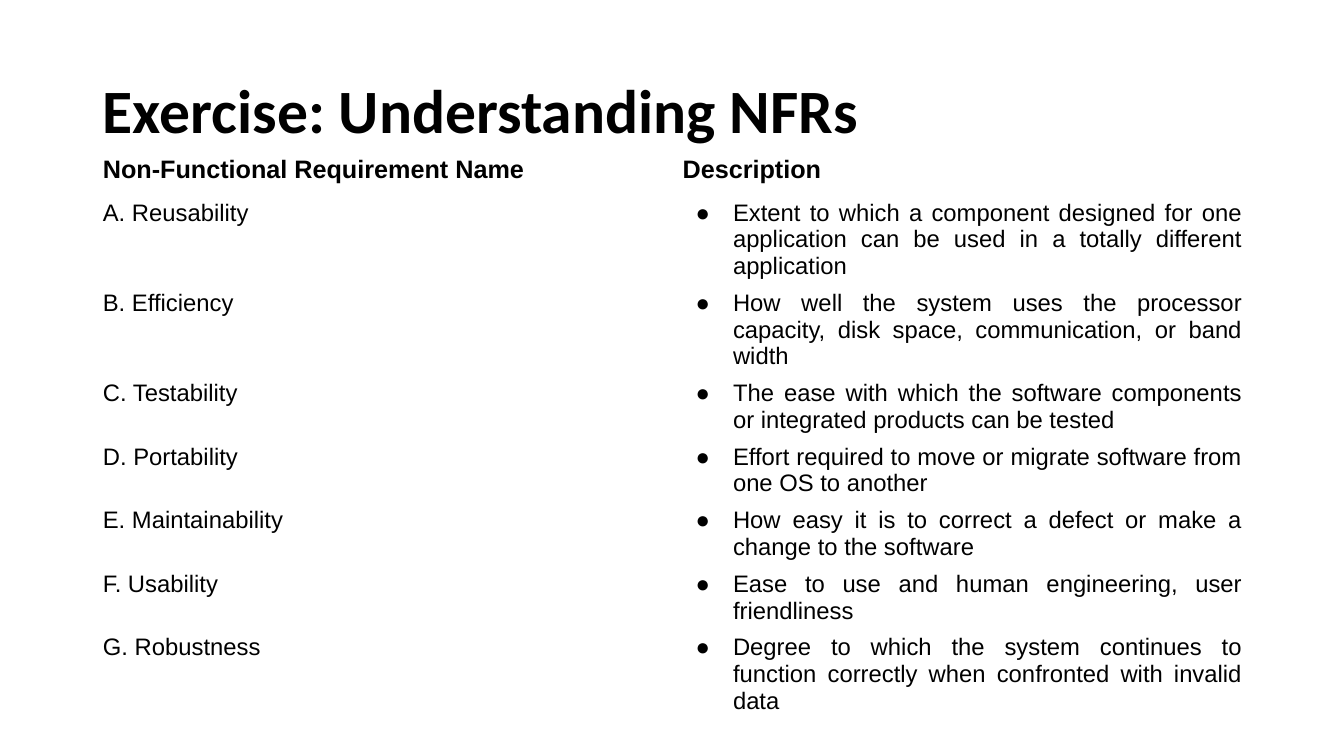
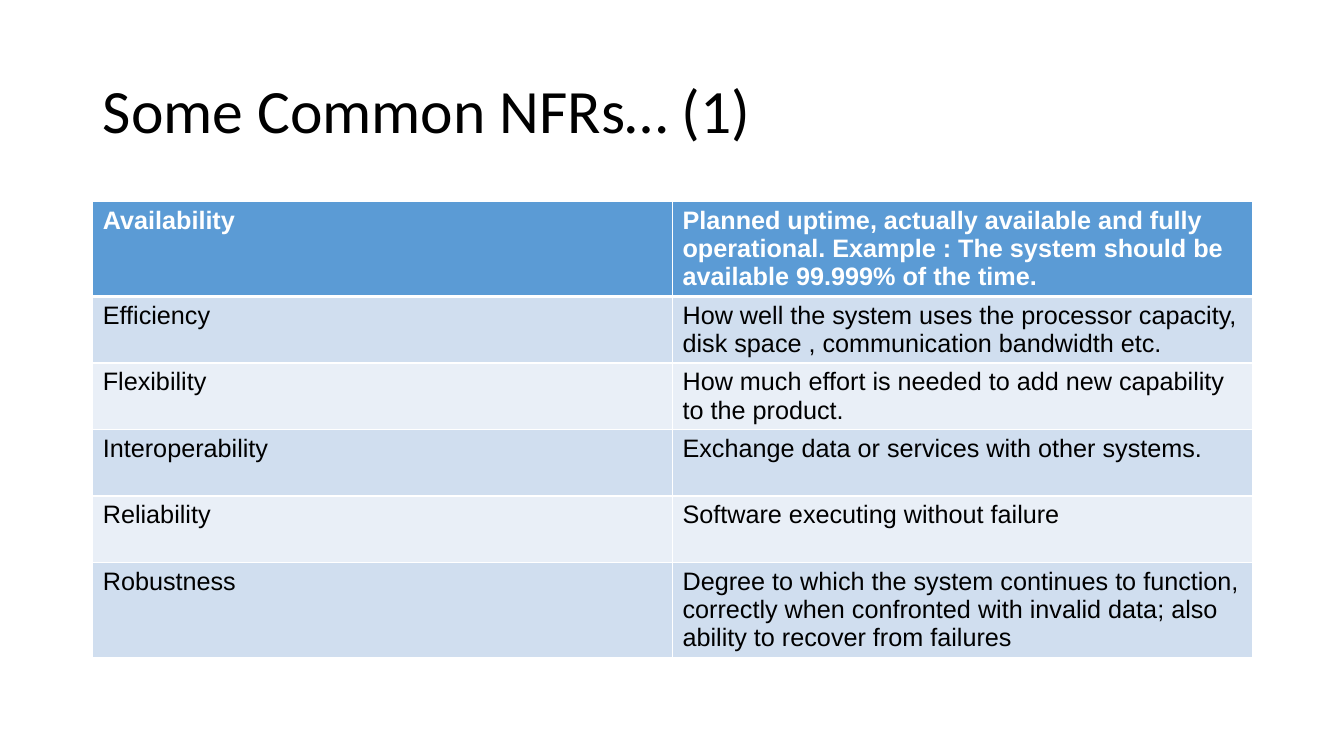
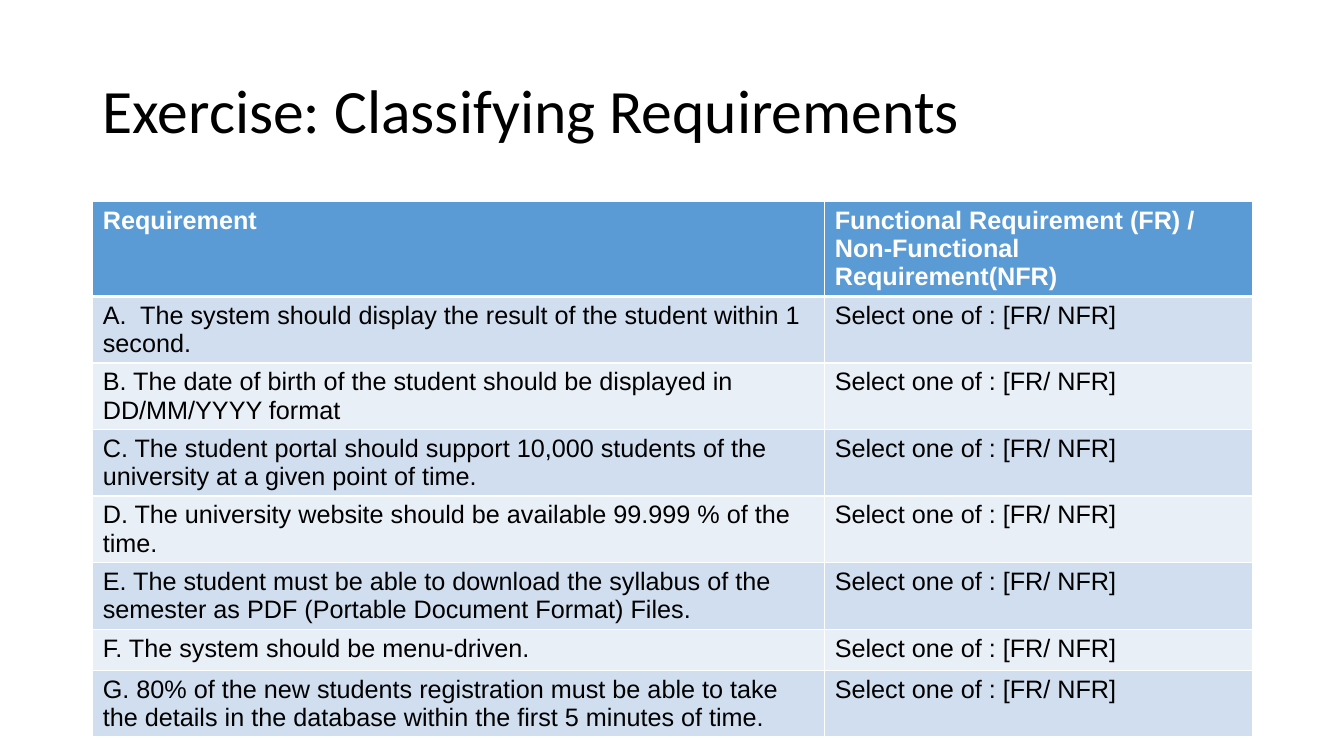
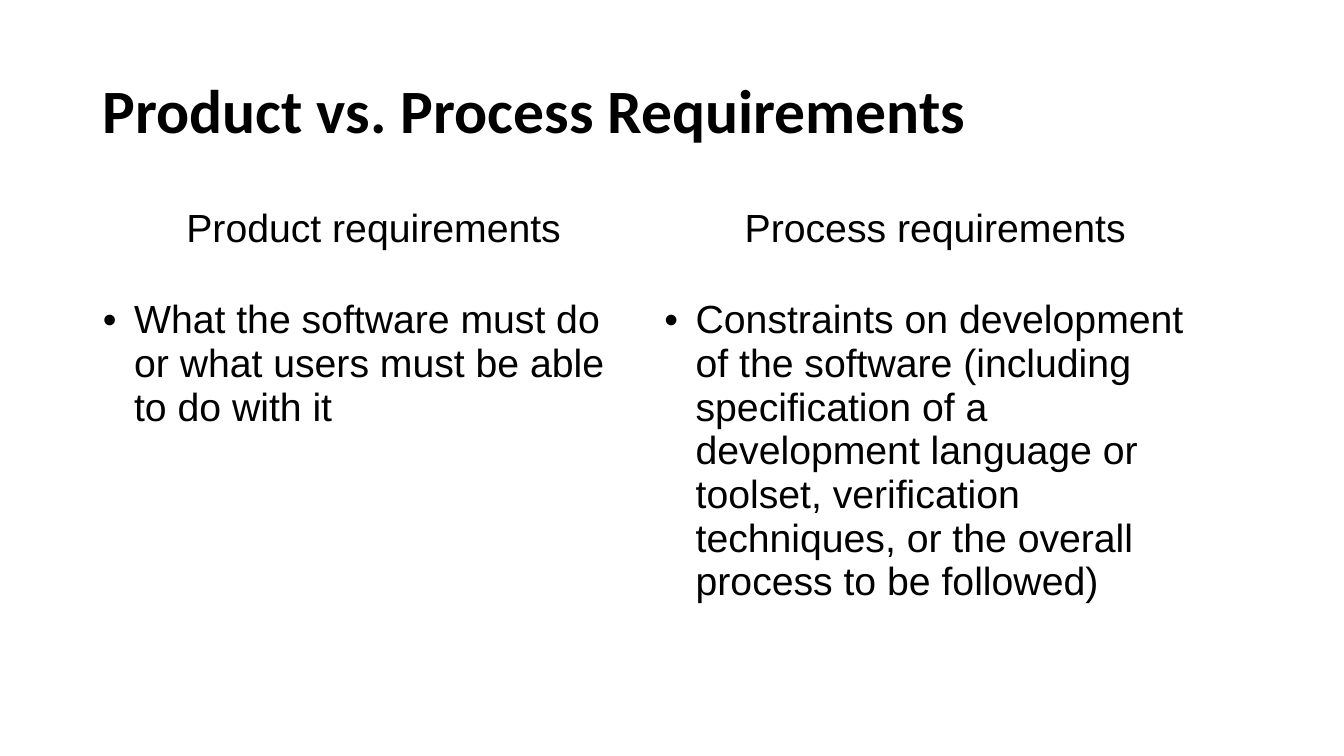
import dataclasses

import pptx
import pptx.dml.color
import pptx.enum.text
import pptx.oxml
import pptx.oxml.ns
import pptx.util
from pptx.util import Inches

ALIGN = pptx.enum.text.PP_ALIGN
ANCHOR = pptx.enum.text.MSO_ANCHOR


# Shared look
@dataclasses.dataclass(frozen=True)
class Theme:
    ink: str = "000000"
    white: str = "FFFFFF"
    header: str = "5B9BD5"
    bands: tuple = ("D0DEEF", "E9EFF7")
    title_font: str = "Calibri"
    body_font: str = "Arial"
    title_size: int = 44
    large_size: int = 28
    body_size: int = 18
    small_size: int = 17
    left: float = 0.92
    table_top: float = 2
    width: float = 11.5
    no_style: str = "{2D5ABB26-0587-4C30-8999-92F81FD0307C}"


THEME = Theme()


@dataclasses.dataclass(frozen=True)
class Bullet:
    character: str
    indent: float
    hanging: float


ROUND_BULLET = Bullet("●", 0.5, 0.37)
SMALL_BULLET = Bullet("•", 0.31, 0.31)


# Content
NFR_ROWS = [
    ("Non-Functional Requirement Name", "Description"),
    ("A. Reusability", "Extent to which a component designed for one application "
     "can be used in a totally different application"),
    ("B. Efficiency", "How well the system uses the processor capacity, disk space, "
     "communication, or band width"),
    ("C. Testability", "The ease with which the software components or integrated "
     "products can be tested"),
    ("D. Portability", "Effort required to move or migrate software from one OS to another"),
    ("E. Maintainability", "How easy it is to correct a defect or make a change to the software"),
    ("F. Usability", "Ease to use and human engineering, user friendliness"),
    ("G. Robustness", "Degree to which the system continues to function correctly when "
     "confronted with invalid data"),
]
COMMON_ROWS = [
    ("Availability", "Planned uptime, actually available and fully operational. "
     "Example : The system should be available 99.999% of the time."),
    ("Efficiency", "How well the system uses the processor capacity, disk space , "
     "communication bandwidth etc."),
    ("Flexibility", "How much effort is needed to add new capability to the product."),
    ("Interoperability", "Exchange data or services with other systems."),
    ("Reliability", "Software executing without failure"),
    ("Robustness", "Degree to which the system continues to function, correctly when "
     "confronted with invalid data; also ability to recover from failures"),
]
REQUIREMENTS = [
    "A.  The system should display the result of the student within 1 second.",
    "B. The date of birth of the student should be displayed in DD/MM/YYYY format",
    "C. The student portal should support 10,000 students of the university at a given "
    "point of time.",
    "D. The university website should be available 99.999 % of the time.",
    "E. The student must be able to download the syllabus of the semester as PDF "
    "(Portable Document Format) Files.",
    "F. The system should be menu-driven.",
    "G. 80% of the new students registration must be able to take the details in the "
    "database within the first 5 minutes of time.",
]
CLASSIFY_ROWS = [
    ("Requirement", "Functional Requirement (FR) / Non-Functional Requirement(NFR)"),
    *((requirement, "Select one of : [FR/ NFR]") for requirement in REQUIREMENTS),
]
COMPARISON_ROWS = [
    ("Product requirements", "Process requirements"),
    ("What the software must do or what users must be able to do with it",
     "Constraints on development of the software (including specification of a development "
     "language or toolset, verification techniques, or the overall process to be followed)"),
]


# Text helpers
def rgb(color):
    return pptx.dml.color.RGBColor.from_string(color)


def format_runs(paragraph, font_name, size, color=THEME.ink, bold=False):
    for run in paragraph.runs:
        run.font.name = font_name
        run.font.size = pptx.util.Pt(size)
        run.font.bold = bold
        run.font.color.rgb = rgb(color)


def add_xml(parent, tag, content="", attributes=""):
    namespace = pptx.oxml.ns.nsdecls("a")
    parent.append(pptx.oxml.parse_xml(
        f"<a:{tag} {namespace} {attributes}>{content}</a:{tag}>"))


def add_bullet(paragraph, bullet):
    properties = paragraph._p.get_or_add_pPr()
    properties.set("marL", str(Inches(bullet.indent)))
    properties.set("indent", str(-Inches(bullet.hanging)))
    add_xml(properties, "buClr", f'<a:srgbClr val="{THEME.ink}"/>')
    add_xml(properties, "buFont", attributes=f'typeface="{THEME.body_font}"')
    add_xml(properties, "buChar", attributes=f'char="{bullet.character}"')


# Slide and title
def add_titled_slide(presentation, text, bold=False):
    slide = presentation.slides.add_slide(presentation.slide_layouts[5])
    title = slide.shapes.title
    title.left, title.top = Inches(THEME.left), Inches(0.4)
    title.width, title.height = Inches(THEME.width), Inches(1.45)
    frame = title.text_frame
    frame.text = text
    frame.auto_size = pptx.enum.text.MSO_AUTO_SIZE.NONE
    frame.vertical_anchor = ANCHOR.MIDDLE
    paragraph = frame.paragraphs[0]
    paragraph.alignment = ALIGN.LEFT
    paragraph.line_spacing = 0.9
    format_runs(paragraph, THEME.title_font, THEME.title_size, bold=bold)
    return slide


# Tables
def add_plain_table(slide, rows, column_widths, row_heights, top=THEME.table_top):
    frame = slide.shapes.add_table(
        len(rows), len(column_widths), Inches(THEME.left), Inches(top),
        Inches(sum(column_widths)), Inches(sum(row_heights)))
    for style in frame._element.iter(pptx.oxml.ns.qn("a:tableStyleId")):
        style.text = THEME.no_style
    table = frame.table
    table.horz_banding = False
    for column, width in zip(table.columns, column_widths):
        column.width = Inches(width)
    for row, height, texts in zip(table.rows, row_heights, rows):
        row.height = Inches(height)
        for cell, text in zip(row.cells, texts):
            cell.text_frame.text = text
            cell.fill.background()
    return table


def format_cell(cell, size, color=THEME.ink, bold=False, alignment=ALIGN.LEFT, bullet=None):
    paragraph = cell.text_frame.paragraphs[0]
    paragraph.alignment = alignment
    if bullet:
        add_bullet(paragraph, bullet)
    format_runs(paragraph, THEME.body_font, size, color, bold)


def paint_cell(cell, color, top_width, bottom_width):
    properties = cell._tc.get_or_add_tcPr()
    for fill in list(properties):
        properties.remove(fill)
    line = f'<a:solidFill><a:srgbClr val="{THEME.white}"/></a:solidFill>'
    for side, width in (("L", 1), ("R", 1), ("T", top_width), ("B", bottom_width)):
        add_xml(properties, f"ln{side}", line, f'w="{pptx.util.Pt(width)}"')
    cell.fill.solid()
    cell.fill.fore_color.rgb = rgb(color)


def add_banded_table(slide, rows, column_widths, row_height):
    table = add_plain_table(slide, rows, column_widths, [row_height] * len(rows))
    for index, row in enumerate(table.rows):
        is_header = index == 0
        fill = THEME.header if is_header else THEME.bands[(index - 1) % 2]
        for cell in row.cells:
            paint_cell(cell, fill, 3 if index == 1 else 1, 3 if is_header else 1)
            format_cell(cell, THEME.body_size,
                        THEME.white if is_header else THEME.ink, is_header)


def add_definition_table(slide, rows):
    heights = [0.44, 0.87] + [0.61] * (len(rows) - 2)
    table = add_plain_table(slide, rows, [5.75, 5.75], heights, top=1.49)
    for index, row in enumerate(table.rows):
        name, description = row.cells
        if index == 0:
            for cell in (name, description):
                format_cell(cell, THEME.body_size, bold=True)
        else:
            format_cell(name, THEME.small_size)
            format_cell(description, THEME.small_size,
                        alignment=ALIGN.JUSTIFY, bullet=ROUND_BULLET)


def add_comparison_table(slide, rows):
    table = add_plain_table(slide, rows, [5.57, 5.57], [0.91, 3.74])
    for heading in table.rows[0].cells:
        format_cell(heading, THEME.large_size, alignment=ALIGN.CENTER)
    for detail in table.rows[1].cells:
        format_cell(detail, THEME.large_size, bullet=SMALL_BULLET)


def main():
    presentation = pptx.Presentation()
    presentation.slide_width = Inches(13.33)
    presentation.slide_height = Inches(7.5)

    slide = add_titled_slide(presentation, "Exercise: Understanding NFRs", bold=True)
    add_definition_table(slide, NFR_ROWS)

    slide = add_titled_slide(presentation, "Some Common NFRs… (1)")
    add_banded_table(slide, COMMON_ROWS, [5.75, 5.75], 0.66)

    slide = add_titled_slide(presentation, "Exercise: Classifying Requirements")
    add_banded_table(slide, CLASSIFY_ROWS, [7.26, 4.24], 0.41)

    slide = add_titled_slide(presentation, "Product vs. Process Requirements", bold=True)
    add_comparison_table(slide, COMPARISON_ROWS)

    presentation.save("out.pptx")


if __name__ == "__main__":
    main()
